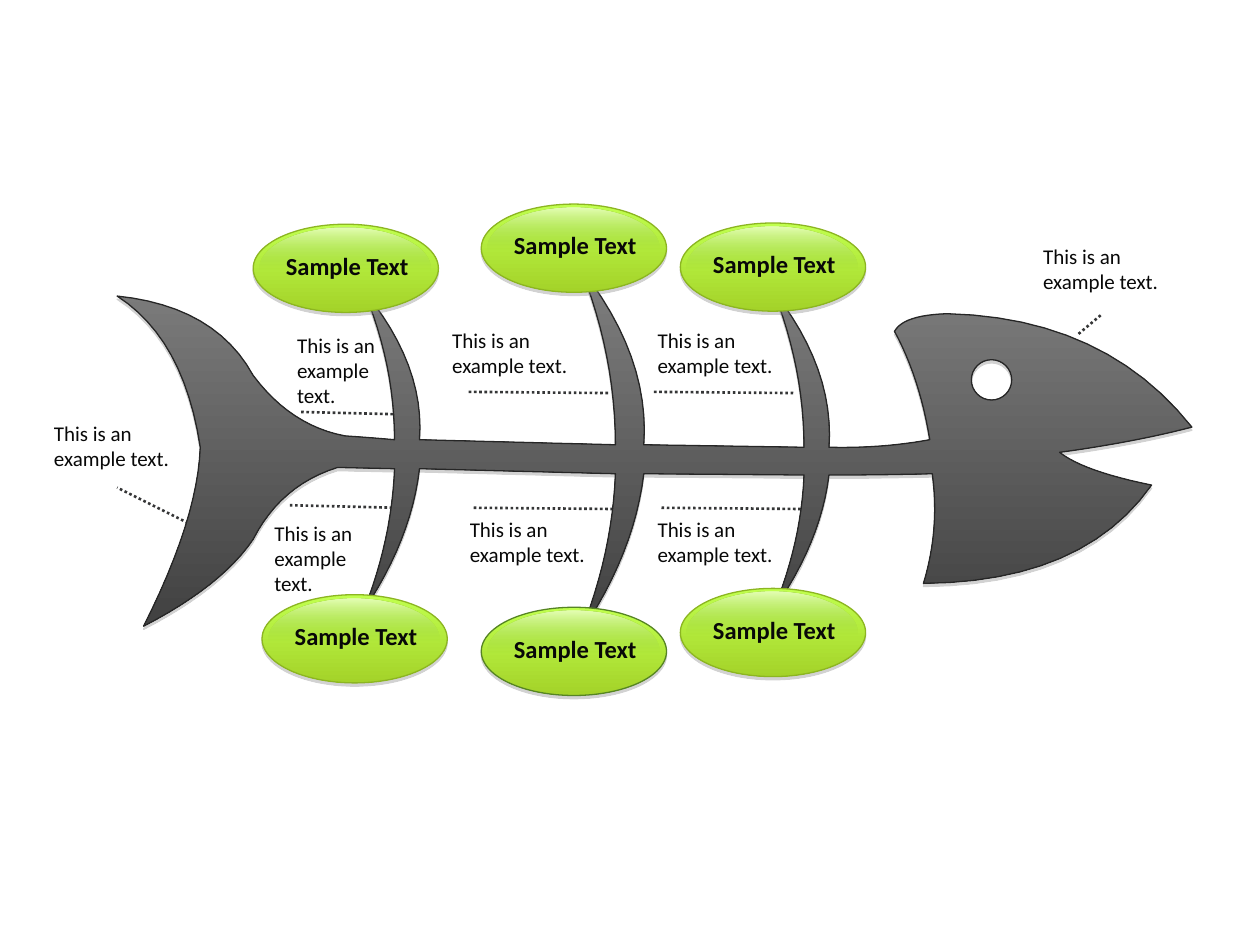
from dataclasses import dataclass
from math import cos, pi, sin

from lxml import etree
from pptx import Presentation
from pptx.dml.color import RGBColor
from pptx.enum.dml import MSO_LINE
from pptx.enum.shapes import MSO_CONNECTOR, MSO_SHAPE
from pptx.enum.text import MSO_AUTO_SIZE
from pptx.oxml.ns import qn
from pptx.util import Inches, Pt

OVAL = MSO_SHAPE.OVAL
STRAIGHT = MSO_CONNECTOR.STRAIGHT
DOTTED = MSO_LINE.ROUND_DOT
FIT = MSO_AUTO_SIZE.SHAPE_TO_FIT_TEXT


@dataclass(frozen=True)
class Theme:
    font: str = "Calibri"
    text: str = "080808"
    note_size: int = 12
    label_size: int = 14
    leader: str = "353637"
    shadow: str = "808080"
    bone: tuple = ((0, "7F7F7F", 100), (1, "404040", 100))
    bone_edge: str = "262626"
    node: tuple = ((0, "C0FF4D", 100), (1, "A4D329", 100))
    gloss: tuple = ((0, "FFFFFF", 59), (0.52, "70AC2E", 0))
    node_edge: str = "8CB522"
    dark_edge: str = "568424"


THEME = Theme()

JAW_TIP = (9.46, 3.39)
HEAD_TOP = [((8.77, 2.52), (7.52, 2.49)), ((7.17, 2.5), (7.1, 2.63)),
            ((7.3, 3), (7.38, 3.49)), ((7, 3.56), (6.58, 3.55))]
TAIL = [((2.9, 3.47), (2.74, 3.46)), ((2.31, 3.38), (2.01, 2.98)),
        ((1.71, 2.43), (0.93, 2.35)), ((1.46, 2.69), (1.59, 3.55)),
        ((1.57, 4.12), (1.14, 4.97)), ((1.76, 4.65), (2.01, 4.28)),
        ((2.23, 3.85), (2.68, 3.71))]
HEAD_BOTTOM = [((7, 3.77), (7.4, 3.76)), ((7.46, 4.2), (7.33, 4.63)),
               ((8.6, 4.62), (9.14, 3.85)), ((8.6, 3.74), (8.41, 3.59)),
               ((9, 3.51), JAW_TIP)]
RIBS = [(2.89, 0.44, 2.31, 3.49, 3.72, 4.84),
        (4.61, 0.5, 2.13, 3.53, 3.76, 5.02),
        (6.14, 0.44, 2.31, 3.55, 3.77, 4.84)]
EYE = (7.87, 3.015, 0.16)

TAIL_LEADER = (1.53, 4.17, -0.6, -0.3)
HEAD_LEADER = (8.56, 2.65, 0.19, -0.16)
SHORT_LEADERS = [(2.39, 3.27), (2.3, 4.01)]
LONG_LEADERS = [(3.76, 4.03), (5.25, 4.03), (3.72, 3.11), (5.19, 3.11)]
NARROW_NOTES = [(2.26, 2.59), (2.08, 4.08)]
WIDE_NOTES = [(0.33, 3.29), (8.18, 1.88), (3.49, 2.55), (5.12, 2.55),
              (3.63, 4.05), (5.12, 4.05)]
NODES = [(2.01, 1.78), (2.08, 4.72), (3.82, 1.62), (5.4, 1.77), (5.4, 4.67)]
DARK_NODE = (3.82, 4.82)


def rgb(value):
    return RGBColor.from_string(value)


def set_gradient(sp, stops):
    sp.fill.gradient()
    sp.fill.gradient_angle = 270
    for stop, (position, color, _) in zip(sp.fill.gradient_stops, stops):
        stop.position = position
        stop.color.rgb = rgb(color)
    colors = list(sp._element.spPr.iter(qn("a:srgbClr")))
    for node, (_, _, opacity) in zip(colors, stops):
        etree.SubElement(node, qn("a:alpha"), val=str(opacity * 1000))


def set_edge(sp, color):
    sp.line.color.rgb = rgb(color)
    sp.line.width = Pt(0.75)


def add_shadow(sp):
    sp.shadow.inherit = False
    effects = sp._element.spPr.find(qn("a:effectLst"))
    shadow = etree.SubElement(effects, qn("a:outerShdw"), blurRad="0",
                              dist=str(Pt(1.8)), dir="5400000", rotWithShape="0")
    color = etree.SubElement(shadow, qn("a:srgbClr"), val=THEME.shadow)
    etree.SubElement(color, qn("a:alpha"), val="35000")


def add_text(s, x, y, w, h, text, size, bold=False):
    tb = s.shapes.add_textbox(Inches(x), Inches(y), Inches(w), Inches(h))
    tf = tb.text_frame
    tf.word_wrap = True
    tf.auto_size = FIT
    r = tf.paragraphs[0].add_run()
    r.text = text
    r.font.name = THEME.font
    r.font.size = Pt(size)
    r.font.bold = bold
    r.font.color.rgb = rgb(THEME.text)


def add_note(s, x, y, w, h):
    add_text(s, x, y, w, h, "This is an example text.", THEME.note_size)


def add_leader(s, x, y, dx, dy):
    line = s.shapes.add_connector(STRAIGHT, Inches(x), Inches(y),
                                  Inches(x + dx), Inches(y + dy))
    line.line.color.rgb = rgb(THEME.leader)
    line.line.width = Pt(1.5)
    line.line.dash_style = DOTTED
    etree.SubElement(line._element.spPr, qn("a:effectLst"))


def rib_edges(tip_x, width, tip_y, root_y, inner_bulge, outer_bulge):
    middle = (tip_y + root_y) / 2
    inner, outer = tip_x + 0.55 * width, tip_x + width
    return ((inner, root_y), (tip_x + inner_bulge * width, middle),
            (tip_x, tip_y), (tip_x + outer_bulge * width, middle),
            (outer, root_y))


def fish_curves():
    curves = list(HEAD_TOP)
    for x, width, top, spine, _, _ in reversed(RIBS):
        inner, bend_in, tip, bend_out, outer = rib_edges(
            x, width, top, spine, 0.55, 1.1)
        curves += [(outer, outer), (bend_out, tip), (bend_in, inner)]
    curves += TAIL
    for x, width, _, _, spine, bottom in RIBS:
        inner, bend_in, tip, bend_out, outer = rib_edges(
            x, width, bottom, spine, 0.5, 0.85)
        curves += [(inner, inner), (bend_in, tip), (bend_out, outer)]
    return curves + HEAD_BOTTOM


def bend(start, control, end, steps=12):
    return [tuple((1 - t) ** 2 * a + 2 * t * (1 - t) * b + t * t * c
                  for a, b, c in zip(start, control, end))
            for t in (i / steps for i in range(1, steps + 1))]


def add_fish(s, left, top):
    outline = [JAW_TIP]
    for control, end in fish_curves():
        outline += bend(outline[-1], control, end)
    cx, cy, radius = EYE
    eye = [(cx + radius * cos(i * pi / 16), cy - radius * sin(i * pi / 16))
           for i in range(32)]
    outline, eye = ([(Inches(left + x), Inches(top + y)) for x, y in contour]
                    for contour in (outline, eye))
    builder = s.shapes.build_freeform(*outline[0], scale=1.0)
    builder.add_line_segments(outline[1:], close=True)
    builder.move_to(*eye[0])
    builder.add_line_segments(eye[1:], close=True)
    sp = builder.convert_to_shape()
    set_gradient(sp, THEME.bone)
    set_edge(sp, THEME.bone_edge)
    add_shadow(sp)


def add_node(s, x, y, edge):
    sp = s.shapes.add_shape(OVAL, Inches(x), Inches(y), Inches(1.47), Inches(0.7))
    set_gradient(sp, THEME.node)
    set_edge(sp, edge)
    add_shadow(sp)
    gloss = s.shapes.add_shape(OVAL, Inches(x + 0.05), Inches(y + 0.03),
                               Inches(1.36), Inches(0.65))
    set_gradient(gloss, THEME.gloss)
    gloss.line.fill.background()
    gloss.shadow.inherit = False
    add_text(s, x + 0.16, y + 0.16, 1.25, 0.34, "Sample Text",
             THEME.label_size, bold=True)


def add_fishbone(s, left, top):
    leaders = [TAIL_LEADER, HEAD_LEADER]
    leaders += [(x, y, 0.84, 0.02) for x, y in SHORT_LEADERS]
    leaders += [(x, y, 1.12, 0.01) for x, y in LONG_LEADERS]
    for x, y, dx, dy in leaders:
        add_leader(s, left + x, top + y, dx, dy)
    for x, y in NARROW_NOTES:
        add_note(s, left + x, top + y, 1, 0.71)
    for x, y in WIDE_NOTES:
        add_note(s, left + x, top + y, 1.28, 0.51)
    add_fish(s, left, top)
    for x, y in [*NODES, DARK_NODE]:
        edge = THEME.dark_edge if (x, y) == DARK_NODE else THEME.node_edge
        add_node(s, left + x, top + y, edge)


def main():
    prs = Presentation()
    prs.slide_width, prs.slide_height = Inches(10), Inches(7.5)
    s = prs.slides.add_slide(prs.slide_layouts[6])
    add_fishbone(s, 0, 0)
    prs.save("out.pptx")


if __name__ == "__main__":
    main()
